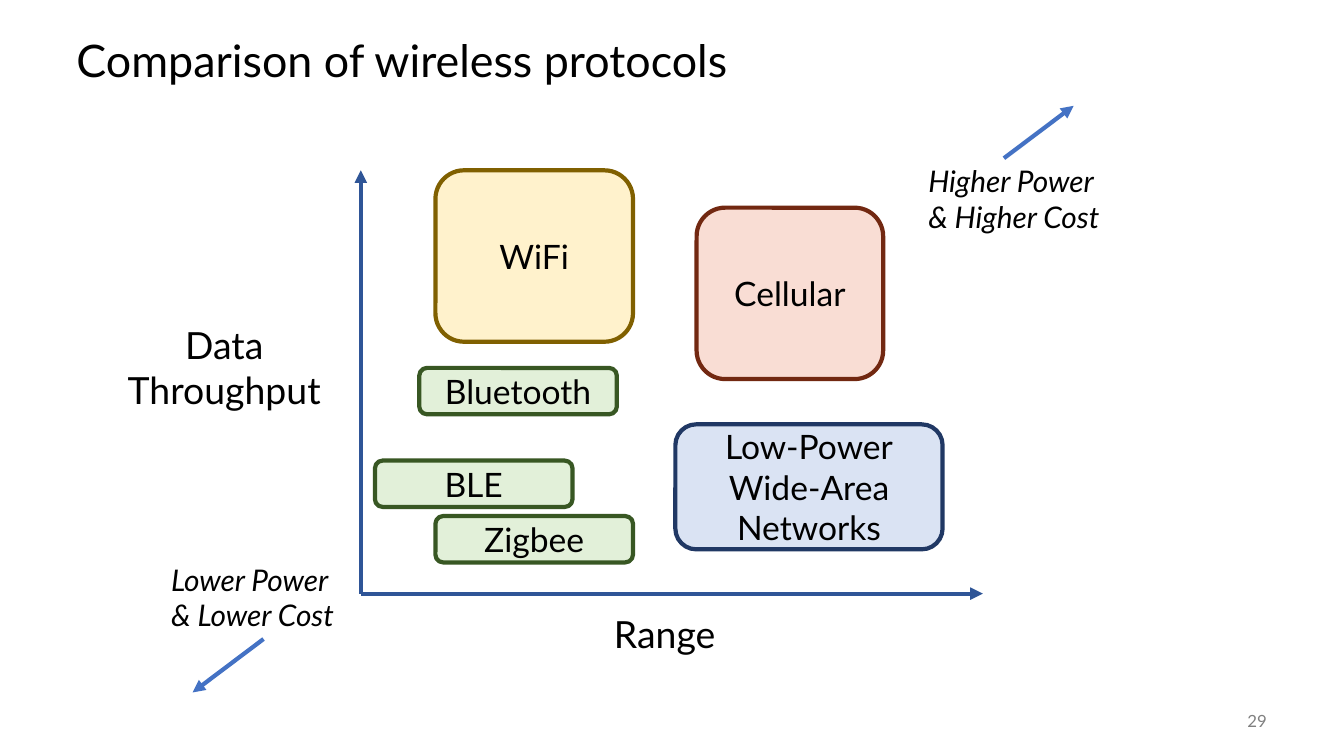
"""Build a slide that maps wireless protocols by range and data throughput."""
from dataclasses import dataclass
from typing import Optional

from lxml.etree import SubElement
from pptx import Presentation
from pptx.dml.color import RGBColor as Rgb
from pptx.enum.shapes import MSO_CONNECTOR as Connector, MSO_SHAPE as Preset
from pptx.enum.text import MSO_ANCHOR as Anchor, MSO_AUTO_SIZE as AutoSize, PP_ALIGN as Align
from pptx.oxml.ns import qn
from pptx.util import Inches, Pt

WIDTH, HEIGHT = Inches(13.333), Inches(7.5)


@dataclass(frozen=True)
class Theme:
    """Colours and type sizes of the slide."""
    font: str = "Lato"
    ink: str = "000000"
    muted: str = "808080"
    axis: str = "2F5597"
    trend: str = "4472C4"
    yellow: tuple[str, str] = ("FFF2CC", "806000")
    green: tuple[str, str] = ("E2F0D9", "385723")
    red: tuple[str, str] = ("F9DDD4", "722811")
    blue: tuple[str, str] = ("DAE3F3", "203864")
    title: float = 32
    axis_name: float = 26.7
    protocol: float = 24
    trend_note: float = 21.3
    page: float = 12
    stroke: float = 3


THEME = Theme()


@dataclass(frozen=True)
class Area:
    """Rectangle in percent of the slide's width and height."""
    left: float
    top: float
    width: float
    height: float

    def emu(self) -> tuple[int, int, int, int]:
        """Return the rectangle in slide units."""
        return across(self.left), down(self.top), across(self.width), down(self.height)


@dataclass(frozen=True)
class Label:
    """Free text with one entry per paragraph."""
    paragraphs: tuple[str, ...]
    area: Area
    size: float
    align: Align = Align.LEFT
    anchor: Anchor = Anchor.TOP
    color: str = THEME.ink
    italic: bool = False
    spacing: Optional[float] = None
    fit: AutoSize = AutoSize.SHAPE_TO_FIT_TEXT


@dataclass(frozen=True)
class Protocol:
    """Protocol region with its fill and outline colours."""
    name: str
    area: Area
    colors: tuple[str, str]


@dataclass(frozen=True)
class Arrow:
    """Arrow between two points in percent of the slide."""
    start: tuple[float, float]
    end: tuple[float, float]
    color: str


def across(percent: float) -> int:
    """Turn a share of the slide's width into slide units."""
    return round(WIDTH * percent / 100)


def down(percent: float) -> int:
    """Turn a share of the slide's height into slide units."""
    return round(HEIGHT * percent / 100)


def apply(target, values: dict) -> None:
    """Set every attribute named in the values."""
    for attribute, value in values.items():
        setattr(target, attribute, value)


def write(frame, label: Label) -> None:
    """Fill a text frame with the label's formatted paragraphs."""
    apply(frame, {"word_wrap": True, "auto_size": label.fit,
                  "vertical_anchor": label.anchor})
    for index, words in enumerate(label.paragraphs):
        paragraph = frame.add_paragraph() if index else frame.paragraphs[0]
        apply(paragraph, {"text": words, "alignment": label.align,
                          "line_spacing": label.spacing})
        for run in paragraph.runs:
            apply(run.font, {"name": THEME.font, "size": Pt(label.size),
                             "italic": label.italic})
            run.font.color.rgb = Rgb.from_string(label.color)


def draw_label(slide, label: Label):
    """Add a text box and return it."""
    box = slide.shapes.add_textbox(*label.area.emu())
    write(box.text_frame, label)
    return box


def draw_protocol(slide, protocol: Protocol) -> None:
    """Add a rounded protocol region with its centred name."""
    region = slide.shapes.add_shape(Preset.ROUNDED_RECTANGLE, *protocol.area.emu())
    region.shadow.inherit = False
    fill, outline = protocol.colors
    region.fill.solid()
    region.fill.fore_color.rgb = Rgb.from_string(fill)
    region.line.color.rgb = Rgb.from_string(outline)
    region.line.width = Pt(THEME.stroke)
    write(region.text_frame, Label((protocol.name,), protocol.area, THEME.protocol,
                                   Align.CENTER, Anchor.MIDDLE, fit=AutoSize.NONE))


def draw_arrow(slide, arrow: Arrow):
    """Add a straight arrow and return it."""
    (x1, y1), (x2, y2) = arrow.start, arrow.end
    line = slide.shapes.add_connector(Connector.STRAIGHT, across(x1), down(y1),
                                      across(x2), down(y2))
    line.line.color.rgb = Rgb.from_string(arrow.color)
    line.line.width = Pt(THEME.stroke)
    SubElement(line.line._get_or_add_ln(), qn("a:tailEnd"), type="triangle")
    SubElement(line._element.spPr, qn("a:effectLst"))
    return line


ORIGIN = (26.85, 78.53)
TOP = 22.53
TAG = (14.7, 6.13)

LOWER_NOTE = Label(("Lower Power\n& Lower Cost",), Area(12, 73.6, 15.22, 10.93),
                   THEME.trend_note, italic=True)
LOWER_ARROW = Arrow((19.73, 84.53), (14.33, 91.6), THEME.trend)

LABELS = (
    Label(("Comparison of wireless protocols",), Area(4.95, 3.33, 90, 10), THEME.title,
          anchor=Anchor.MIDDLE, spacing=0.9, fit=AutoSize.NONE),
    Label(("29",), Area(87.5, 92.67, 7.5, 5.33), THEME.page, Align.RIGHT,
          Anchor.MIDDLE, THEME.muted, fit=AutoSize.NONE),
    Label(("Data", "Throughput"), Area(8.25, 42, 16.88, 13.33), THEME.axis_name,
          Align.CENTER),
    Label(("Range",), Area(41.93, 80.13, 15.07, 7.33), THEME.axis_name, Align.CENTER),
    Label(("Higher Power\n& Higher Cost",), Area(68.33, 20.93, 16.2, 10.93),
          THEME.trend_note, italic=True),
)

ARROWS = (
    Arrow((74.7, 20.93), (79.88, 14), THEME.trend),
    Arrow(ORIGIN, (ORIGIN[0], TOP), THEME.axis),
    Arrow(ORIGIN, (73.13, ORIGIN[1]), THEME.axis),
)

PROTOCOLS = (
    Protocol("Bluetooth", Area(31.2, 48.67, *TAG), THEME.green),
    Protocol("WiFi", Area(32.4, TOP, 14.7, 22.67), THEME.yellow),
    Protocol("BLE", Area(27.9, 60.93, *TAG), THEME.green),
    Protocol("Zigbee", Area(32.4, 68.27, *TAG), THEME.green),
    Protocol("Cellular", Area(51.83, 27.47, 13.88, 22.67), THEME.red),
    Protocol("Low-Power\nWide-Area Networks", Area(50.25, 56.13, 19.88, 16.53), THEME.blue),
)


def main() -> None:
    """Build and save the slide."""
    deck = Presentation()
    apply(deck, {"slide_width": WIDTH, "slide_height": HEIGHT})
    slide = deck.slides.add_slide(deck.slide_layouts[6])
    for label in LABELS:
        draw_label(slide, label)
    lower_note = draw_label(slide, LOWER_NOTE)
    draw_arrow(slide, LOWER_ARROW).begin_connect(lower_note, 2)
    for arrow in ARROWS:
        draw_arrow(slide, arrow)
    for protocol in PROTOCOLS:
        draw_protocol(slide, protocol)
    deck.save("out.pptx")


if __name__ == "__main__":
    main()
